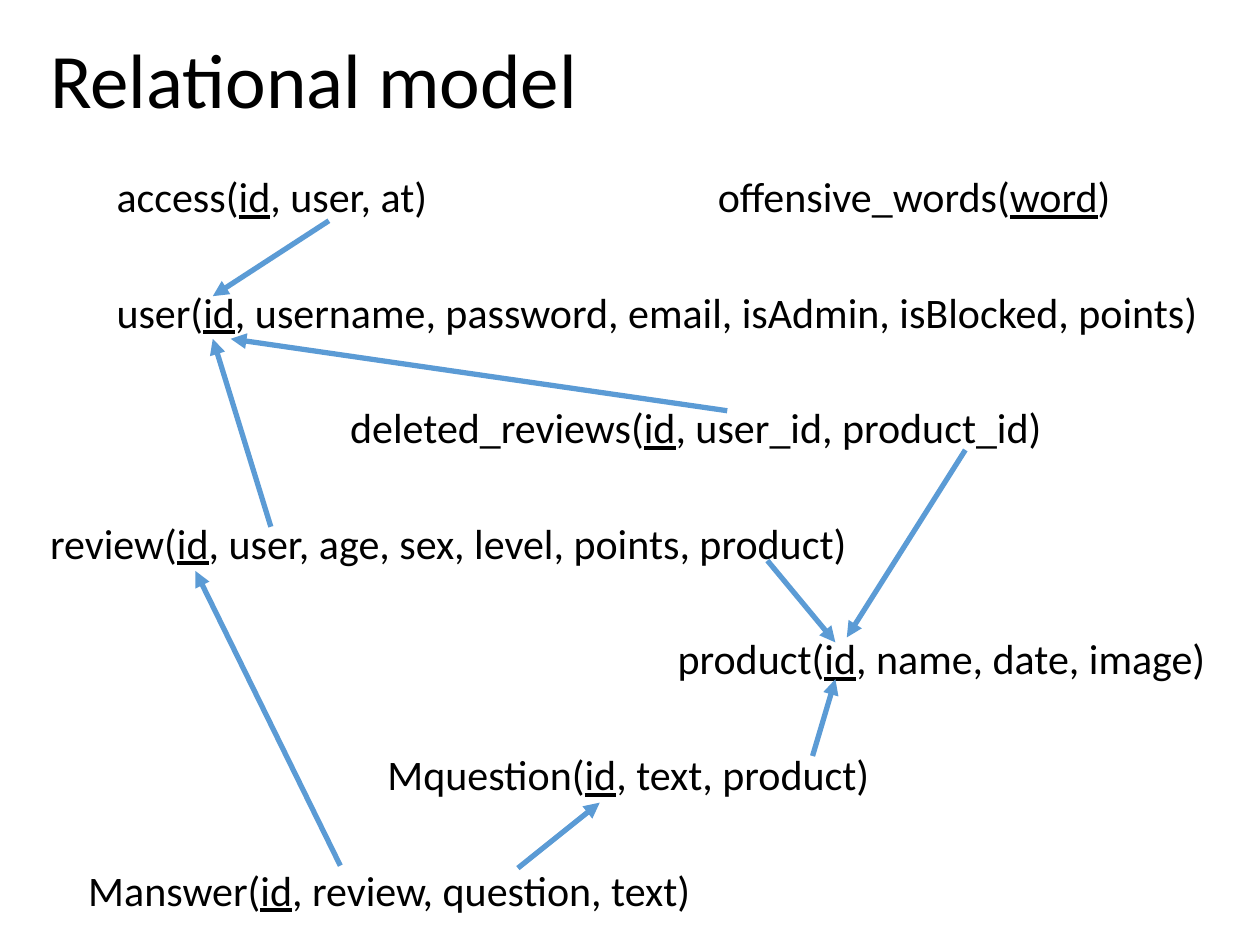
"""Build a slide with a relational model and its foreign key arrows."""
from dataclasses import dataclass

from lxml import etree
from pptx import Presentation
from pptx import util as u
from pptx.dml import color
from pptx.enum import shapes, text
from pptx.oxml import ns


@dataclass(frozen=True)
class Table:
    text: str
    indent: float


@dataclass(frozen=True)
class Link:
    x: float
    y: float
    to_x: float
    to_y: float


TOP = 3.51
TABLES = [
    Table("access(*id*, user, at)", 1.34),
    Table("user(*id*, username, password, email, isAdmin, isBlocked, points)", 1.34),
    Table("deleted_reviews(*id*, user_id, product_id)", 6.05),
    Table("review(*id*, user, age, sex, level, points, product)", 0),
    Table("product(*id*, name, date, image)", 12.65),
    Table("Mquestion(*id*, text, product)", 6.8),
    Table("Manswer(*id*, review, question, text)", 0.77),
]
WORDS = Table("offensive_words(*word*)", 0)
LINKS = [
    Link(6.86, 17.45, 3.94, 11.51),
    Link(10.44, 17.5, 12.09, 16.18),
    Link(16.38, 15.24, 16.84, 13.69),
    Link(15.47, 11.3, 16.84, 12.95),
    Link(5.46, 10.62, 4.29, 6.83),
    Link(14.66, 8.28, 4.65, 6.83),
    Link(19.46, 9.07, 17.07, 12.85),
    Link(6.63, 4.45, 4.29, 5.97),
]


def rgb(code: str) -> color.RGBColor:
    """Turn a hex string into a colour."""
    return color.RGBColor.from_string(code)


def add_box(slide, x: float, y: float, w: float, h: float):
    """Add a wrapping text box and return its text frame."""
    frame = slide.shapes.add_textbox(u.Cm(x), u.Cm(y), u.Cm(w), u.Cm(h)).text_frame
    frame.word_wrap = True
    return frame


def fill_para(para, words: str, size: float) -> None:
    """Write words into a paragraph, underlining the parts between stars."""
    for i, part in enumerate(words.split("*")):
        run = para.add_run()
        run.text = part
        font = run.font
        font.name, font.size = "Calibri", u.Pt(size)
        font.color.rgb = rgb("000000")
        if i % 2:
            font.underline = True


def add_table(frame, table: Table, first: bool) -> None:
    """Write one relation as an indented paragraph."""
    para = frame.paragraphs[0] if first else frame.add_paragraph()
    para.line_spacing = 0.8
    para.space_before = u.Pt(0 if first else 43)
    props = para._p.get_or_add_pPr()
    props.set("marL", "0")
    props.set("indent", str(u.Cm(table.indent)))
    fill_para(para, table.text, 24)


def add_link(slide, link: Link) -> None:
    """Draw one arrow from a foreign key to its key."""
    line = slide.shapes.add_connector(
        shapes.MSO_CONNECTOR.STRAIGHT,
        u.Cm(link.x), u.Cm(link.y), u.Cm(link.to_x), u.Cm(link.to_y))
    line.line.color.rgb = rgb("5B9BD5")
    line.line.width = u.Pt(3)
    etree.SubElement(line.line._get_or_add_ln(), ns.qn("a:tailEnd"), type="triangle")
    etree.SubElement(line._element.spPr, ns.qn("a:effectLst"))


def main() -> None:
    """Build and save the slide."""
    deck = Presentation()
    deck.slide_width, deck.slide_height = u.Cm(25.4), u.Cm(19.05)
    slide = deck.slides.add_slide(deck.slide_layouts[6])
    title = add_box(slide, 0.76, 0.61, 21.89, 2.16)
    title.vertical_anchor = text.MSO_ANCHOR.MIDDLE
    title.paragraphs[0].line_spacing = 0.9
    fill_para(title.paragraphs[0], "Relational model", 44)
    body = add_box(slide, 0.76, TOP, 24.38, 16)
    for i, table in enumerate(TABLES):
        add_table(body, table, i == 0)
    add_table(add_box(slide, 14.22, TOP, 9.5, 1.1), WORDS, True)
    for link in LINKS:
        add_link(slide, link)
    deck.save("out.pptx")


main()
